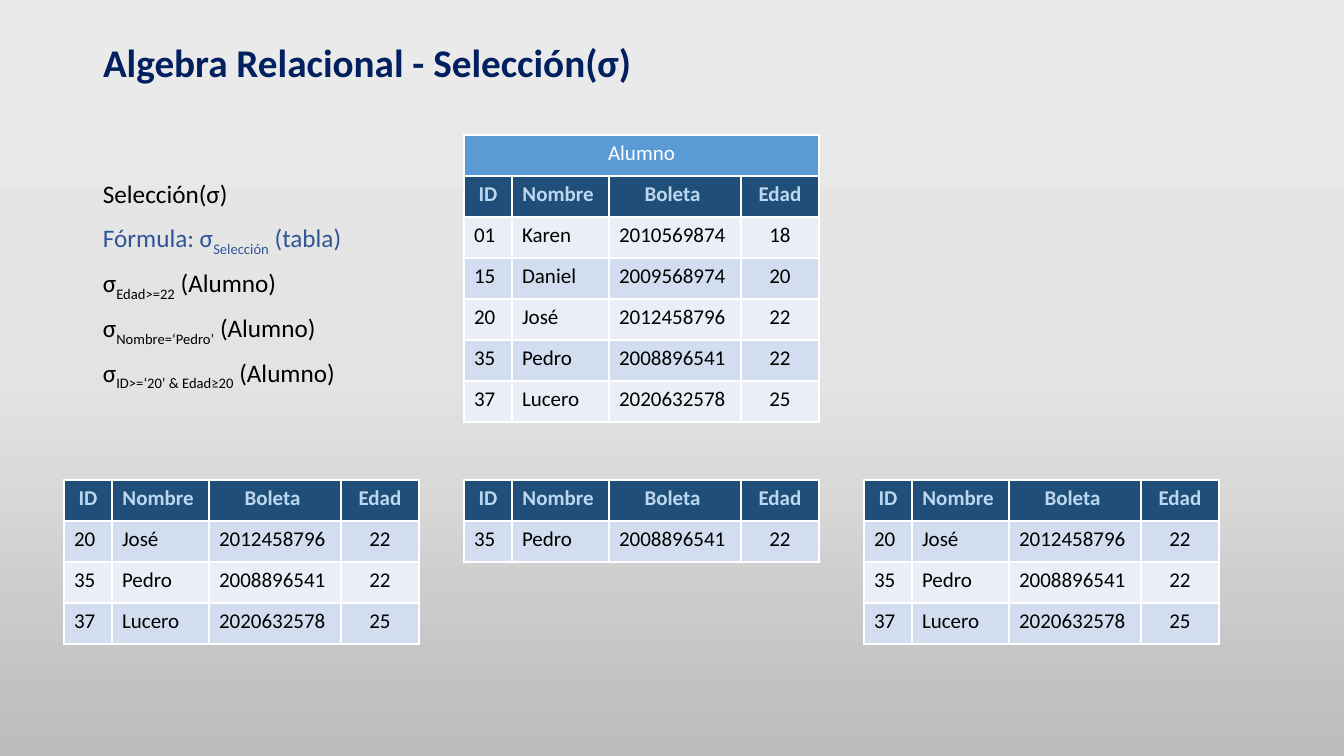
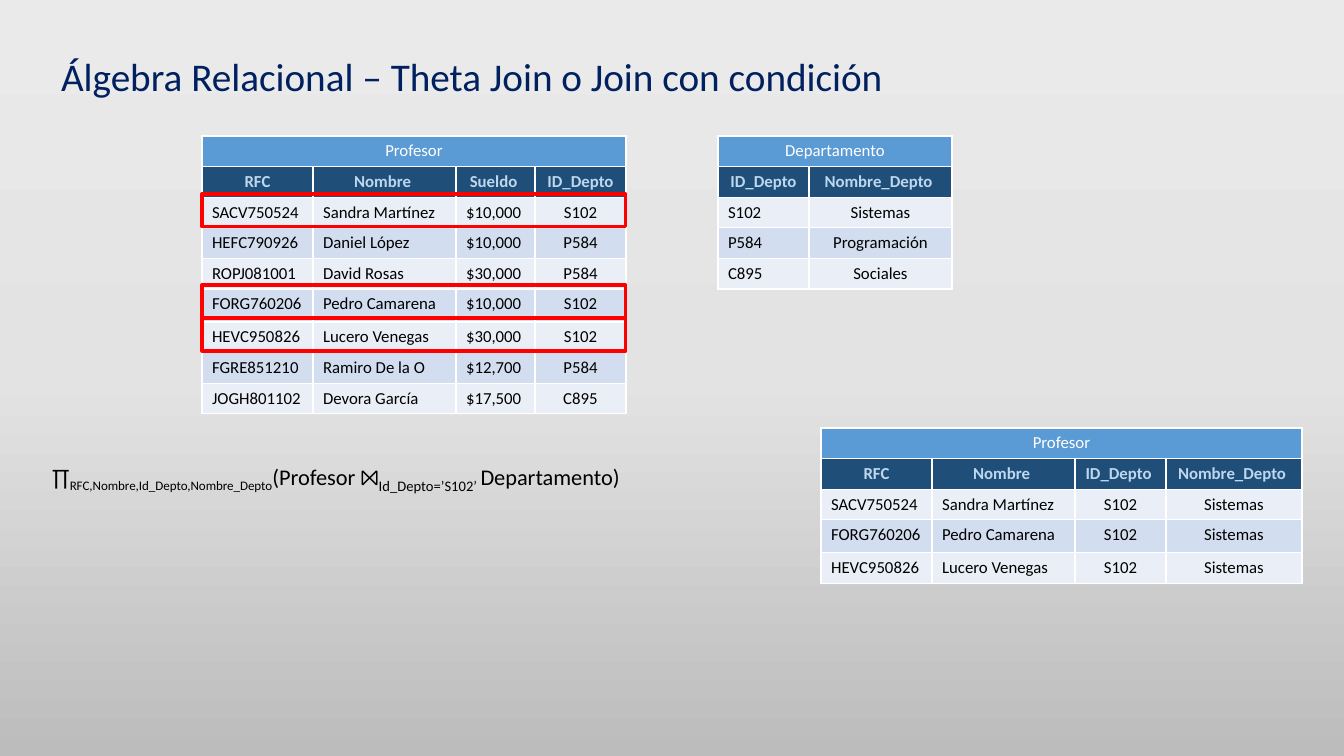
from copy import deepcopy
from dataclasses import dataclass
from itertools import product

from lxml import etree
from pptx import Presentation
from pptx.dml.color import RGBColor
from pptx.enum.shapes import MSO_SHAPE
from pptx.enum.text import MSO_ANCHOR, MSO_AUTO_SIZE, PP_ALIGN
from pptx.oxml.ns import qn
from pptx.presentation import Presentation as Deck
from pptx.slide import Slide
from pptx.text.text import TextFrame, _Paragraph
from pptx.util import Emu, Pt

RECTANGLE = MSO_SHAPE.RECTANGLE
TOP, MIDDLE = MSO_ANCHOR.TOP, MSO_ANCHOR.MIDDLE
NO_AUTOFIT = MSO_AUTO_SIZE.NONE
LEFT, CENTER = PP_ALIGN.LEFT, PP_ALIGN.CENTER

SLIDE_WIDTH, SLIDE_HEIGHT = 1344, 756
EMU_PER_PX = 12192000 / SLIDE_WIDTH


@dataclass(frozen=True)
class Theme:
    font: str = "Calibri"
    symbol_font: str = "Times New Roman"
    title_color: str = "002060"
    text_color: str = "000000"
    formula_color: str = "2F5597"
    caption_fill: str = "5B9BD5"
    header_fill: str = "1F4E79"
    header_text: str = "BDD7EE"
    stripes: tuple[str, str] = ("EAEFF7", "D2DEEF")
    white: str = "FFFFFF"
    highlight: str = "FF0000"
    background: tuple[str, ...] = ("EBEAEA", "E4E3E3", "BDBCBC")
    title_size: int = 28
    body_size: int = 18
    join_size: int = 16
    line_spacing: float = 0.9
    paragraph_gap: int = 10
    border_width: float = 1
    highlight_width: float = 2.25


THEME = Theme()


@dataclass(frozen=True)
class Box:
    left: int
    top: int
    width: int
    height: int

    def emu(self) -> tuple[Emu, Emu, Emu, Emu]:
        return px(self.left), px(self.top), px(self.width), px(self.height)


@dataclass(frozen=True)
class Span:
    """A stretch of text with one format."""
    text: str
    size: int = THEME.body_size
    color: str = THEME.text_color
    bold: bool = False
    subscript: bool = False
    font: str = THEME.font


@dataclass(frozen=True)
class Relation:
    """A data table; body columns after the first left_columns are centred."""
    left: int
    top: int
    columns: tuple[int, ...]
    header: tuple[str, ...]
    rows: tuple[tuple[str, ...], ...]
    left_columns: int
    text_size: int
    row_height: int
    caption: str = ""
    tall_row: int = -1
    tall_height: int = 33


def px(length: int) -> Emu:
    return Emu(round(length * EMU_PER_PX))


def rgb(color: str) -> RGBColor:
    return RGBColor.from_string(color)


def add_span(paragraph: _Paragraph, span: Span) -> None:
    run = paragraph.add_run()
    run.text = span.text
    run.font.name = span.font
    run.font.size = Pt(span.size)
    run.font.bold = span.bold
    run.font.color.rgb = rgb(span.color)
    if span.subscript:
        run._r.get_or_add_rPr().set("baseline", "-25000")


def write_paragraphs(frame: TextFrame, lines: list[list[Span]], spacing: float) -> None:
    frame.word_wrap = True
    frame.auto_size = NO_AUTOFIT
    for index, spans in enumerate(lines):
        paragraph = frame.add_paragraph() if index else frame.paragraphs[0]
        paragraph.alignment = LEFT
        paragraph.line_spacing = spacing
        paragraph.space_before = Pt(THEME.paragraph_gap if index else 0)
        for span in spans:
            add_span(paragraph, span)


def set_background(presentation: Deck) -> None:
    master = presentation.slide_master
    fill = master.background.fill
    fill.gradient()
    fill.gradient_angle = 270
    stop_list = master.element.find(".//" + qn("a:gsLst"))
    stop_list.append(deepcopy(stop_list[0]))
    last = len(THEME.background) - 1
    for index, (stop, color) in enumerate(zip(fill.gradient_stops, THEME.background)):
        stop.position = index / last
        stop.color.rgb = rgb(color)


def add_titled_slide(presentation: Deck, title: str, box: Box, bold: bool) -> Slide:
    slide = presentation.slides.add_slide(presentation.slide_layouts.get_by_name("Title Only"))
    shape = slide.shapes.title
    shape.left, shape.top, shape.width, shape.height = box.emu()
    shape.text_frame.vertical_anchor = MIDDLE
    span = Span(title, THEME.title_size, THEME.title_color, bold)
    write_paragraphs(shape.text_frame, [[span]], THEME.line_spacing)
    return slide


def add_text(slide: Slide, box: Box, lines: list[list[Span]], spacing: float) -> None:
    write_paragraphs(slide.shapes.add_textbox(*box.emu()).text_frame, lines, spacing)


def format_cell(cell, fill: str, span: Span, alignment: PP_ALIGN) -> None:
    properties = cell._tc.get_or_add_tcPr()
    for side in ("a:lnL", "a:lnR", "a:lnT", "a:lnB"):
        line = etree.SubElement(properties, qn(side), w=str(Pt(THEME.border_width)))
        solid = etree.SubElement(line, qn("a:solidFill"))
        etree.SubElement(solid, qn("a:srgbClr"), val=THEME.white)
    cell.fill.solid()
    cell.fill.fore_color.rgb = rgb(fill)
    cell.vertical_anchor = TOP
    paragraph = cell.text_frame.paragraphs[0]
    paragraph.alignment = alignment
    if span.text:
        add_span(paragraph, span)


def add_relation(slide: Slide, relation: Relation) -> None:
    width = len(relation.columns)
    caption_rows = [(relation.caption,) + ("",) * (width - 1)] if relation.caption else []
    grid = [*caption_rows, relation.header, *relation.rows]
    header_row = len(caption_rows)
    heights = [relation.tall_height if row == relation.tall_row else relation.row_height
               for row in range(len(grid))]
    box = Box(relation.left, relation.top, sum(relation.columns), sum(heights))
    table = slide.shapes.add_table(len(grid), width, *box.emu()).table
    table.first_row = table.horz_banding = False
    for column, column_width in zip(table.columns, relation.columns):
        column.width = px(column_width)
    for row, height in zip(table.rows, heights):
        row.height = px(height)
    if relation.caption:
        table.cell(0, 0).merge(table.cell(0, width - 1))
    for row, column in product(range(len(grid)), range(width)):
        if row < header_row:
            fill, color = THEME.caption_fill, THEME.white
        elif row == header_row:
            fill, color = THEME.header_fill, THEME.header_text
        else:
            fill, color = THEME.stripes[row % 2], THEME.text_color
        is_left = row > header_row and column < relation.left_columns
        span = Span(grid[row][column], relation.text_size, color, row == header_row)
        format_cell(table.cell(row, column), fill, span, LEFT if is_left else CENTER)


def add_highlight(slide: Slide, box: Box) -> None:
    shape = slide.shapes.add_shape(RECTANGLE, *box.emu())
    shape.shadow.inherit = False
    shape.fill.background()
    shape.line.color.rgb = rgb(THEME.highlight)
    shape.line.width = Pt(THEME.highlight_width)


STUDENTS = (
    ("01", "Karen", "2010569874", "18"),
    ("15", "Daniel", "2009568974", "20"),
    ("20", "José", "2012458796", "22"),
    ("35", "Pedro", "2008896541", "22"),
    ("37", "Lucero", "2020632578", "25"),
)
PROFESSORS = (
    ("SACV750524", "Sandra Martínez", "$10,000", "S102"),
    ("HEFC790926", "Daniel López", "$10,000", "P584"),
    ("ROPJ081001", "David Rosas", "$30,000", "P584"),
    ("FORG760206", "Pedro Camarena", "$10,000", "S102"),
    ("HEVC950826", "Lucero Venegas", "$30,000", "S102"),
    ("FGRE851210", "Ramiro De la O", "$12,700", "P584"),
    ("JOGH801102", "Devora García", "$17,500", "C895"),
)
DEPARTMENTS = (("S102", "Sistemas"), ("P584", "Programación"), ("C895", "Sociales"))


def student_relation(left: int, top: int, rows: tuple, caption: str = "") -> Relation:
    return Relation(left, top, (48, 97, 132, 78), ("ID", "Nombre ", "Boleta ", "Edad"),
                    rows, 3, 15, 41, caption)


def selection_line(condition: str) -> list[Span]:
    return [Span("σ"), Span(condition, subscript=True), Span(" (Alumno)")]


def build_selection(presentation: Deck) -> None:
    slide = add_titled_slide(presentation, "Algebra Relacional - Selección(σ)",
                             Box(93, 33, 1159, 64), True)
    formula = [Span("Fórmula: σ", color=THEME.formula_color),
               Span("Selección", color=THEME.formula_color, subscript=True),
               Span(" (tabla)", color=THEME.formula_color)]
    conditions = ("Edad>=22", "Nombre=‘Pedro’", "ID>=‘20’ & Edad≥20")
    add_text(slide, Box(93, 177, 360, 230),
             [[Span("Selección(σ)")], formula, *map(selection_line, conditions)],
             THEME.line_spacing)
    add_relation(slide, student_relation(464, 135, STUDENTS, "Alumno"))
    results = (STUDENTS[2:], STUDENTS[3:4], STUDENTS[2:])
    for index, rows in enumerate(results):
        add_relation(slide, student_relation(64 + 400 * index, 480, rows))


def build_theta_join(presentation: Deck) -> None:
    slide = add_titled_slide(presentation,
                             "Álgebra Relacional – Theta Join o Join con condición",
                             Box(51, 52, 1191, 53), False)
    tables_top = 136
    professor = Relation(202, tables_top, (111, 143, 79, 91),
                         ("RFC", "Nombre ", "Sueldo ", "ID_Depto"),
                         PROFESSORS, 3, 12, 30, "Profesor", tall_row=5)
    department = Relation(718, tables_top, (91, 143), ("ID_Depto", "Nombre_Depto "),
                          DEPARTMENTS, 1, 12, 30, "Departamento")
    names = dict(DEPARTMENTS)
    joined = tuple((code, name, key, names[key])
                   for code, name, _, key in PROFESSORS if key == "S102")
    result = Relation(821, 428, (111, 143, 91, 136),
                      ("RFC", "Nombre ", "ID_Depto ", "Nombre_Depto "),
                      joined, 2, 12, 30, "Profesor", tall_row=3)
    for relation in (professor, department, result):
        add_relation(slide, relation)
    size = THEME.join_size
    add_text(slide, Box(42, 455, 660, 67), [[
        Span("∏", size),
        Span("RFC,Nombre,Id_Depto,Nombre_Depto", size, subscript=True),
        Span("(Profesor ", size),
        Span("⨝", size, font=THEME.symbol_font),
        Span("Id_Depto=’S102’ ", subscript=True),
        Span("Departamento)", size),
    ]], 1.0)
    for top in (194, 285, 318):
        add_highlight(slide, Box(professor.left, top, sum(professor.columns), 33))


def main() -> None:
    presentation = Presentation()
    presentation.slide_width, presentation.slide_height = px(SLIDE_WIDTH), px(SLIDE_HEIGHT)
    set_background(presentation)
    build_selection(presentation)
    build_theta_join(presentation)
    presentation.save("out.pptx")


if __name__ == "__main__":
    main()
